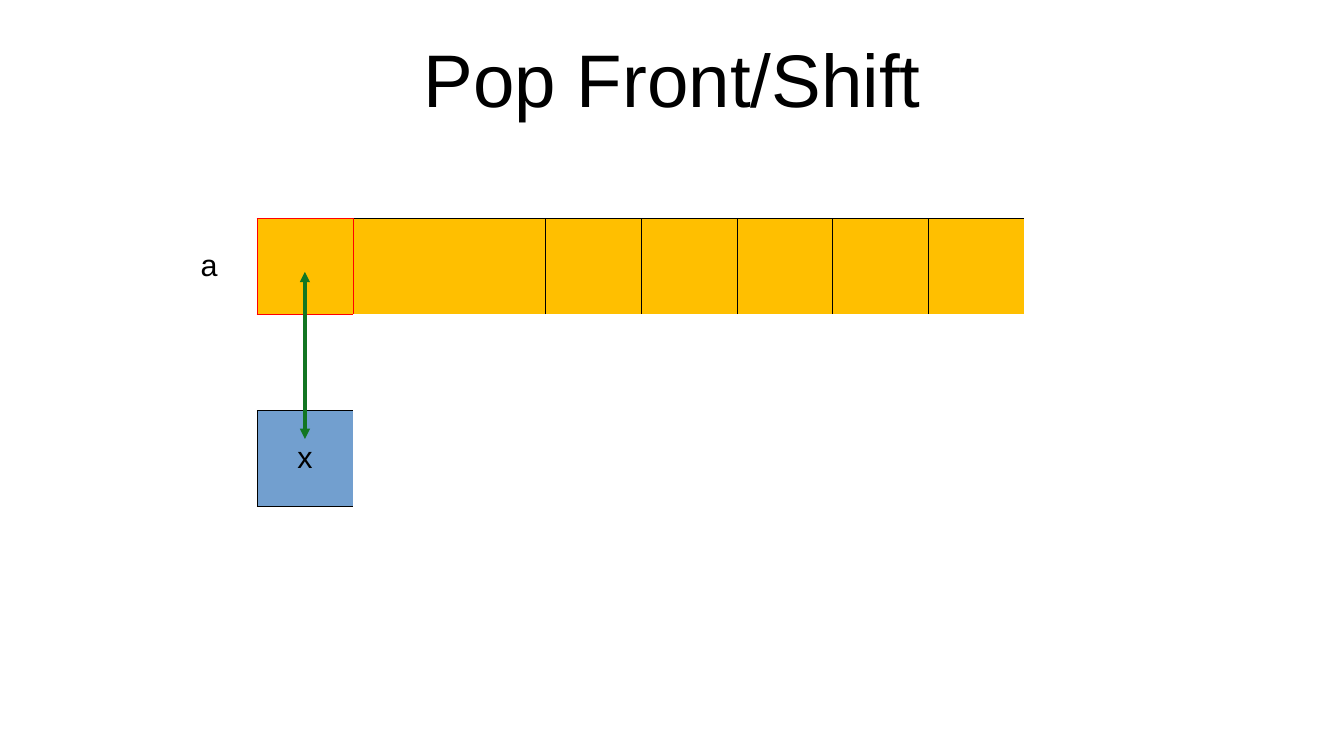
import pptx
import pptx.dml.color
import pptx.enum.shapes
import pptx.enum.text
import pptx.oxml
import pptx.oxml.ns
import pptx.util
from pptx.util import Inches

BLACK = pptx.dml.color.RGBColor(0x00, 0x00, 0x00)
RED = pptx.dml.color.RGBColor(0xFF, 0x00, 0x00)
AMBER = pptx.dml.color.RGBColor(0xFF, 0xBF, 0x00)
BLUE = pptx.dml.color.RGBColor(0x72, 0x9F, 0xCF)
GREEN = pptx.dml.color.RGBColor(0x12, 0x76, 0x22)

ROWS, COLUMNS = 3, 11
CELL = 2.36 / ROWS
HAIRLINE = 0.06
MIDDLE = pptx.enum.text.MSO_ANCHOR.MIDDLE


def format_text(text_frame, text, size):
    text_frame.text = text
    paragraph = text_frame.paragraphs[0]
    paragraph.alignment = pptx.enum.text.PP_ALIGN.CENTER
    font = paragraph.runs[0].font
    font.name = "Arial"
    font.size = pptx.util.Pt(size)
    font.color.rgb = BLACK


def set_borders(cell, sides="", color=BLACK, width=HAIRLINE):
    """Draw the named sides (of L, R, T, B) and clear the others."""
    properties = cell._tc.get_or_add_tcPr()
    for index, side in enumerate("LRTB"):
        fill = "<a:noFill/>"
        if side in sides:
            fill = f'<a:solidFill><a:srgbClr val="{color}"/></a:solidFill>'
        border = pptx.oxml.parse_xml(
            f'<a:ln{side} {pptx.oxml.ns.nsdecls("a")} '
            f'w="{pptx.util.Pt(width)}">{fill}</a:ln{side}>')
        properties.insert(index, border)


def fill_cell(cell, color):
    cell.fill.solid()
    cell.fill.fore_color.rgb = color


def add_array(slide, left, top):
    frame = slide.shapes.add_table(
        ROWS, COLUMNS, Inches(left), Inches(top),
        Inches(COLUMNS * CELL), Inches(ROWS * CELL))
    table = frame.table
    table.first_row = False
    table.horz_banding = False

    # Plain grid
    for cell in table.iter_cells():
        cell.margin_left = cell.margin_right = Inches(0.02)
        cell.margin_top = cell.margin_bottom = Inches(0.05)
        cell.vertical_anchor = MIDDLE
        cell.fill.background()

    # Edges: the red front slot, two joined slots, five separate slots
    edges = {(0, 1): ("LRTB", RED, 0.28), (2, 1): ("LRTB",)}
    edges.update({(0, column): ("RTB",) for column in (2, 3)})
    edges.update({(0, column): ("LRTB",) for column in range(4, 9)})
    for row in range(ROWS):
        for column in range(COLUMNS):
            set_borders(table.cell(row, column), *edges.get((row, column), ()))

    # Array slots and the popped value
    for column in range(1, 9):
        fill_cell(table.cell(0, column), AMBER)
    fill_cell(table.cell(2, 1), BLUE)
    format_text(table.cell(0, 0).text_frame, "a", 18)
    format_text(table.cell(2, 1).text_frame, "x", 18)


def add_title(slide, left, top, width, height):
    title = slide.shapes.add_textbox(
        Inches(left), Inches(top), Inches(width), Inches(height))
    text_frame = title.text_frame
    text_frame.word_wrap = True
    text_frame.vertical_anchor = MIDDLE
    text_frame.margin_left = text_frame.margin_right = 0
    text_frame.margin_top = text_frame.margin_bottom = 0
    format_text(text_frame, "Pop Front/Shift", 44)


def add_swap_arrow(slide, x, top, bottom):
    arrow = slide.shapes.add_connector(
        pptx.enum.shapes.MSO_CONNECTOR.STRAIGHT,
        Inches(x), Inches(top), Inches(x), Inches(bottom))
    arrow.line.color.rgb = GREEN
    arrow.line.width = 0
    line = arrow.line._get_or_add_ln()
    for end in ("headEnd", "tailEnd"):
        line.append(pptx.oxml.parse_xml(
            f'<a:{end} {pptx.oxml.ns.nsdecls("a")} type="triangle"/>'))
    arrow._element.spPr.append(pptx.oxml.parse_xml(
        f'<a:effectLst {pptx.oxml.ns.nsdecls("a")}/>'))


def main():
    presentation = pptx.Presentation()
    presentation.slide_width = Inches(11.02)
    presentation.slide_height = Inches(6.2)
    slide = presentation.slides.add_slide(presentation.slide_layouts[6])
    array_left, array_top = 1.32, 1.79
    add_array(slide, array_left, array_top)
    add_title(slide, 2.6, 0.24, 5.83, 0.79)
    add_swap_arrow(slide, array_left + 1.5 * CELL, array_top + 0.44, array_top + 1.81)
    presentation.save("out.pptx")


if __name__ == "__main__":
    main()
